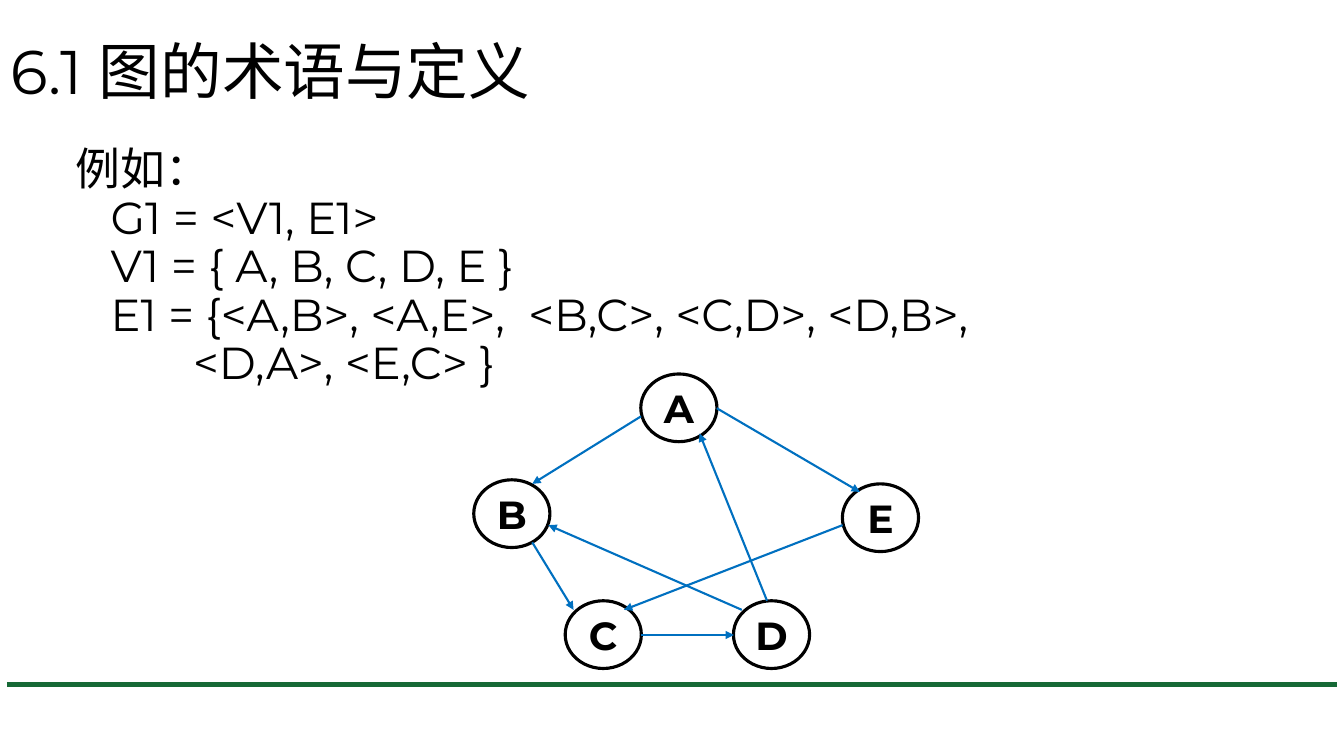
from lxml import etree
from pptx import Presentation
from pptx.dml.color import RGBColor
from pptx.enum.shapes import MSO_CONNECTOR, MSO_SHAPE
from pptx.enum.text import MSO_ANCHOR, MSO_AUTO_SIZE, PP_ALIGN
from pptx.oxml.ns import qn
from pptx.util import Pt

FONT = "Montserrat"
BLACK, BLUE, GREEN = "000000", "0070C0", "166936"
NODE_WIDTH, NODE_HEIGHT = 54.4, 48.4

DEFINITIONS = [
    ("例如：", 0, 0),
    ("G1 = <V1, E1>", 25, 0),
    ("V1 = { A, B, C, D, E }", 25, 0),
    ("E1 = {<A,B>, <A,E>,  <B,C>, <C,D>, <D,B>,\v<D,A>, <E,C> }", 84, -59),
]
VERTICES = {
    "A": (457.7, 267.1),
    "B": (338.4, 342.7),
    "C": (403.7, 429.1),
    "D": (523.9, 429.1),
    "E": (601.7, 345.6),
}
EDGES = [
    ((457.9, 297.4), (380.2, 345.6)),
    ((512, 291.6), (614.2, 351.4)),
    ((380.2, 387.4), (409.7, 435.6)),
    ((457.9, 453.6), (524.2, 453.6)),
    ((529.9, 435.6), (391.7, 375.1)),
    ((547.9, 429.1), (499.7, 309.6)),
    ((601.9, 375.1), (445.7, 435.6)),
]


def color(value):
    """Turn a hex string into a colour."""
    return RGBColor.from_string(value)


def style(paragraph, size, bold=False, align=PP_ALIGN.LEFT):
    """Set the font and alignment of a paragraph."""
    paragraph.alignment = align
    paragraph.font.name = FONT
    paragraph.font.size = Pt(size)
    paragraph.font.bold = bold
    paragraph.font.color.rgb = color(BLACK)


def place(holder, left, top, width, height, anchor):
    """Move a placeholder and return its text frame."""
    holder.left, holder.top = Pt(left), Pt(top)
    holder.width, holder.height = Pt(width), Pt(height)
    frame = holder.text_frame
    frame.auto_size = MSO_AUTO_SIZE.NONE
    frame.vertical_anchor = anchor
    return frame


def write_title(slide, text):
    """Fill the title placeholder."""
    frame = place(slide.shapes.title, 0, 0.7, 828, 104.4, MSO_ANCHOR.MIDDLE)
    heading = frame.paragraphs[0]
    heading.text = text
    heading.line_spacing = 0.9
    style(heading, 44)


def write_definitions(slide):
    """Fill the body placeholder with indented lines without bullets."""
    frame = place(slide.placeholders[1], 46.8, 101.5, 828, 342.7, MSO_ANCHOR.TOP)
    for number, (text, margin, indent) in enumerate(DEFINITIONS):
        line = frame.add_paragraph() if number else frame.paragraphs[0]
        line.text = text
        line.line_spacing = 0.9
        line.space_before = Pt(0)
        properties = line._p.get_or_add_pPr()
        properties.set("marL", str(Pt(margin)))
        properties.set("indent", str(Pt(indent)))
        etree.SubElement(properties, qn("a:buNone"))
        style(line, 32)


def add_vertex(slide, name, left, top):
    """Draw a graph vertex with its letter."""
    vertex = slide.shapes.add_shape(
        MSO_SHAPE.OVAL, Pt(left), Pt(top), Pt(NODE_WIDTH), Pt(NODE_HEIGHT))
    vertex.shadow.inherit = False
    vertex.fill.background()
    vertex.line.color.rgb = color(BLACK)
    vertex.line.width = Pt(2.25)
    frame = vertex.text_frame
    frame.word_wrap = False
    frame.vertical_anchor = MSO_ANCHOR.MIDDLE
    letter = frame.paragraphs[0]
    letter.text = name
    style(letter, 28, bold=True, align=PP_ALIGN.CENTER)


def add_line(slide, start, end, stroke, width, arrow=False):
    """Draw a straight line, with an arrowhead at its end if asked."""
    line = slide.shapes.add_connector(
        MSO_CONNECTOR.STRAIGHT, *(Pt(value) for value in (*start, *end)))
    line.line.color.rgb = color(stroke)
    line.line.width = Pt(width)
    if arrow:
        etree.SubElement(line.line._get_or_add_ln(), qn("a:tailEnd"), type="triangle")
    etree.SubElement(line._element.spPr, qn("a:effectLst"))


def main():
    """Build the slide and save it."""
    deck = Presentation()
    deck.slide_width, deck.slide_height = Pt(960), Pt(540)
    slide = deck.slides.add_slide(deck.slide_layouts[1])
    add_line(slide, (5, 488.9), (954.7, 488.9), GREEN, 3.75)
    write_title(slide, "6.1 图的术语与定义")
    write_definitions(slide)
    for name, (left, top) in VERTICES.items():
        add_vertex(slide, name, left, top)
    for start, end in EDGES:
        add_line(slide, start, end, BLUE, 1.5, arrow=True)
    deck.save("out.pptx")


if __name__ == "__main__":
    main()
